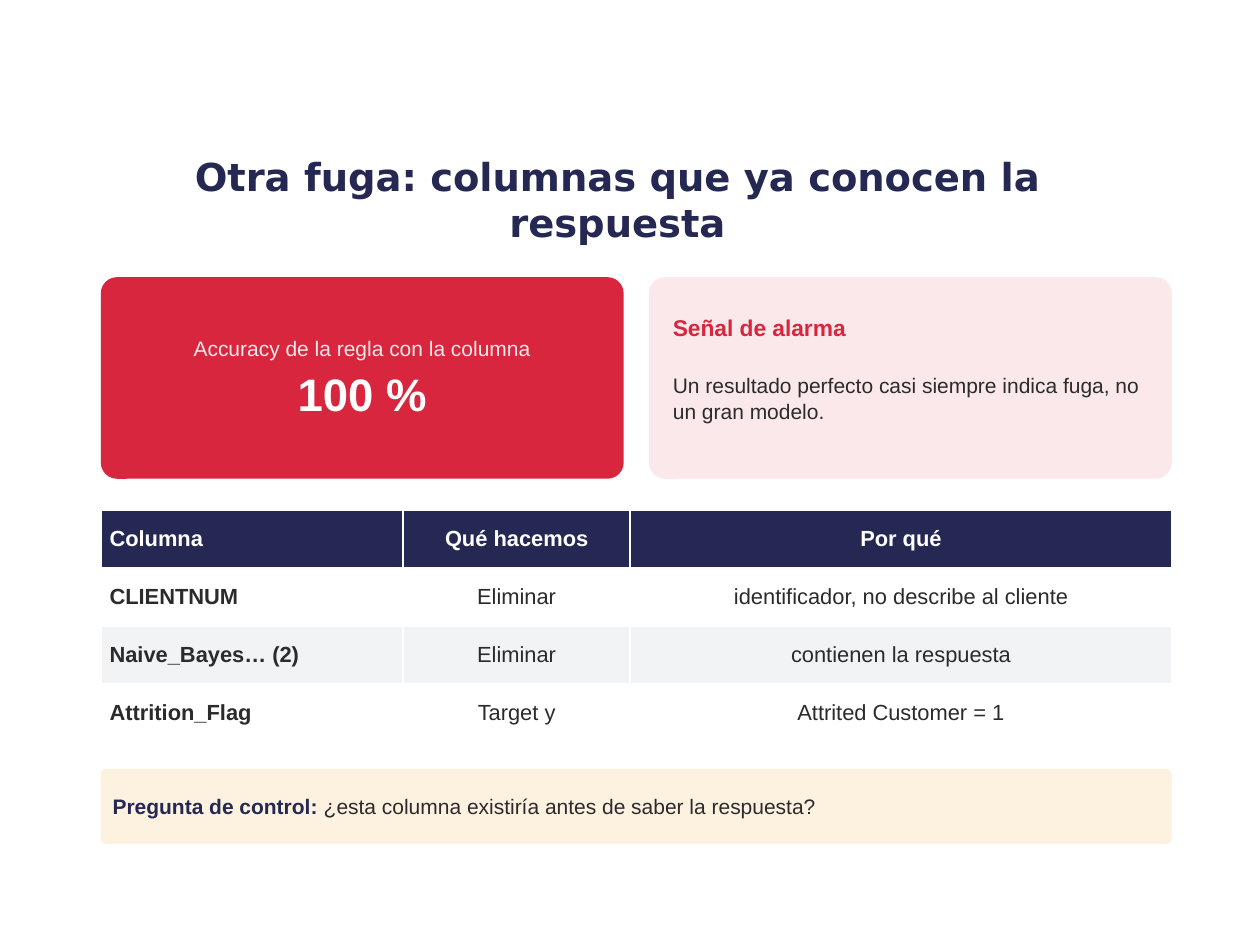
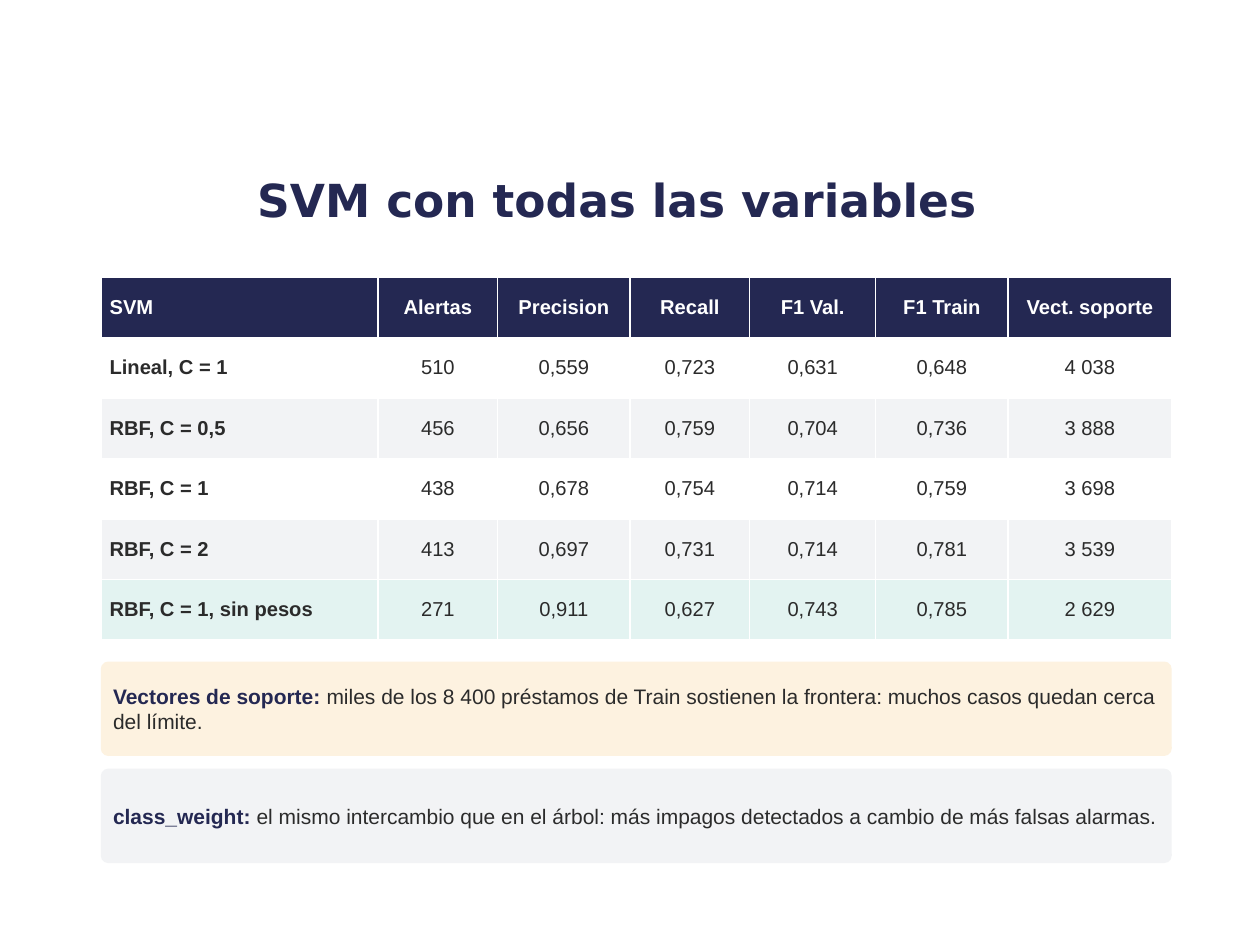
from dataclasses import dataclass

from pptx import Presentation
from pptx.dml.color import RGBColor as RGB
from pptx.enum.shapes import MSO_SHAPE as SHAPE
from pptx.enum.text import MSO_ANCHOR as ANCHOR, MSO_AUTO_SIZE as FIT, PP_ALIGN as ALIGN
from pptx.util import Pt

PX = 9144  # 100 px to the inch


@dataclass(frozen=True)
class Theme:
    navy: str = "242852"
    red: str = "D7263D"
    pink: str = "FBE8EA"
    cream: str = "FDF2E0"
    grey: str = "F2F3F5"
    mint: str = "E3F3F1"
    ink: str = "2B2B2B"
    white: str = "FFFFFF"
    head: str = "DejaVu Sans"
    body: str = "Arial"
    text: float = 12
    label: float = 13
    figure: float = 26


T = Theme()
LEFT, WIDE = 80, 850


def write(frame, lines, align=ALIGN.LEFT, after=None, inset=(8, 8), anchor=ANCHOR.MIDDLE, face=T.body):
    """Fill a frame with lines of (size, runs), each run being (text, colour, bold)."""
    frame.word_wrap = True
    frame.vertical_anchor = anchor
    frame.margin_left = frame.margin_right = inset[0] * PX
    frame.margin_top = frame.margin_bottom = inset[1] * PX
    for i, (size, runs) in enumerate(lines):
        para = frame.add_paragraph() if i else frame.paragraphs[0]
        para.alignment = align
        if after:
            para.space_after = Pt(after)
        para.font.name, para.font.size = face, Pt(size)
        for words, ink, bold in runs:
            run = para.add_run()
            run.text = words
            font = para.font if len(runs) == 1 else run.font
            font.bold = bold
            font.color.rgb = RGB.from_string(ink)


def card(slide, at, fill):
    box = slide.shapes.add_shape(SHAPE.ROUNDED_RECTANGLE, *[n * PX for n in at])
    box.adjustments[0] = 0.08
    box.shadow.inherit = False
    box.fill.solid()
    box.fill.fore_color.rgb = RGB.from_string(fill)
    box.line.fill.background()
    return box.text_frame


deck = Presentation()
deck.slide_width, deck.slide_height = 1000 * PX, 750 * PX

# Slides and titles
slides = []
for words, size in [("Otra fuga: columnas que ya conocen la respuesta", 22),
                    ("SVM con todas las variables", 26)]:
    slide = deck.slides.add_slide(deck.slide_layouts[5])
    title = slide.shapes.title
    title.left, title.top, title.width, title.height = [n * PX for n in (75, 118, 830, 80)]
    write(title.text_frame, [(size, [(words, T.navy, True)])], ALIGN.CENTER, inset=(10, 5), face=T.head)
    title.text_frame.auto_size = FIT.NONE
    slides.append(slide)
leak, svm = slides

# Accuracy card and warning card
gap = 20
half = (WIDE - gap) // 2
write(card(leak, (LEFT, 220, half, 160), T.red),
      [(T.text, [("Accuracy de la regla con la columna", T.pink, False)]),
       (T.figure, [("100 %", T.white, True)])], ALIGN.CENTER, after=3)
card(leak, (LEFT + half + gap, 220, half, 160), T.pink)
for at, anchor, size, run in [
    ((530, 232, 390, 55), ANCHOR.MIDDLE, T.label, ("Señal de alarma", T.red, True)),
    ((530, 292, 385, 80), ANCHOR.TOP, T.text,
     ("Un resultado perfecto casi siempre indica fuga, no un gran modelo.", T.ink, False)),
]:
    frame = leak.shapes.add_textbox(*[n * PX for n in at]).text_frame
    write(frame, [(size, [run])], after=4, inset=(4, 4), anchor=anchor)
    frame.auto_size = FIT.SHAPE_TO_FIT_TEXT

# Tables: navy header, striped rows, bold first column
columns = [
    ("Columna", "Qué hacemos", "Por qué"),
    ("CLIENTNUM", "Eliminar", "identificador, no describe al cliente"),
    ("Naive_Bayes… (2)", "Eliminar", "contienen la respuesta"),
    ("Attrition_Flag", "Target y", "Attrited Customer = 1"),
]
scores = [
    ("SVM", "Alertas", "Precision", "Recall", "F1 Val.", "F1 Train", "Vect. soporte"),
    ("Lineal, C = 1", "510", "0,559", "0,723", "0,631", "0,648", "4 038"),
    ("RBF, C = 0,5", "456", "0,656", "0,759", "0,704", "0,736", "3 888"),
    ("RBF, C = 1", "438", "0,678", "0,754", "0,714", "0,759", "3 698"),
    ("RBF, C = 2", "413", "0,697", "0,731", "0,714", "0,781", "3 539"),
    ("RBF, C = 1, sin pesos", "271", "0,911", "0,627", "0,743", "0,785", "2 629"),
]
for slide, rows, widths, top, tall, size, marked in [
    (leak, columns, (240, 180, 430), 405, 46, 12.5, None),
    (svm, scores, (220, 95, 105, 95, 100, 105, 130), 220, 48, 11.5, 5),
]:
    table = slide.shapes.add_table(len(rows), len(widths), LEFT * PX, top * PX,
                                   WIDE * PX, tall * len(rows) * PX).table
    for col, width in zip(table.columns, widths):
        col.width = width * PX
    for r, row in enumerate(rows):
        fill = T.navy if r == 0 else T.mint if r == marked else T.white if r % 2 else T.grey
        for c, words in enumerate(row):
            cell = table.cell(r, c)
            cell.fill.solid()
            cell.fill.fore_color.rgb = RGB.from_string(fill)
            cell.vertical_anchor = ANCHOR.MIDDLE
            cell.margin_left = cell.margin_right = 7 * PX
            cell.margin_top = cell.margin_bottom = 3 * PX
            para = cell.text_frame.paragraphs[0]
            para.text = words
            para.alignment = ALIGN.CENTER if c else ALIGN.LEFT
            font = para.font
            font.name, font.size, font.bold = T.body, Pt(size), r == 0 or c == 0
            font.color.rgb = RGB.from_string(T.ink if r else T.white)

# Notes under the tables
for slide, top, tall, fill, lead, words in [
    (leak, 610, 60, T.cream, "Pregunta de control: ",
     "¿esta columna existiría antes de saber la respuesta?"),
    (svm, 525, 75, T.cream, "Vectores de soporte: ",
     "miles de los 8 400 préstamos de Train sostienen la frontera: "
     "muchos casos quedan cerca del límite."),
    (svm, 610, 75, T.grey, "class_weight: ",
     "el mismo intercambio que en el árbol: más impagos detectados a cambio de más falsas alarmas."),
]:
    write(card(slide, (LEFT, top, WIDE, tall), fill),
          [(T.text, [(lead, T.navy, True), (words, T.ink, False)])], after=3)

deck.save("out.pptx")
